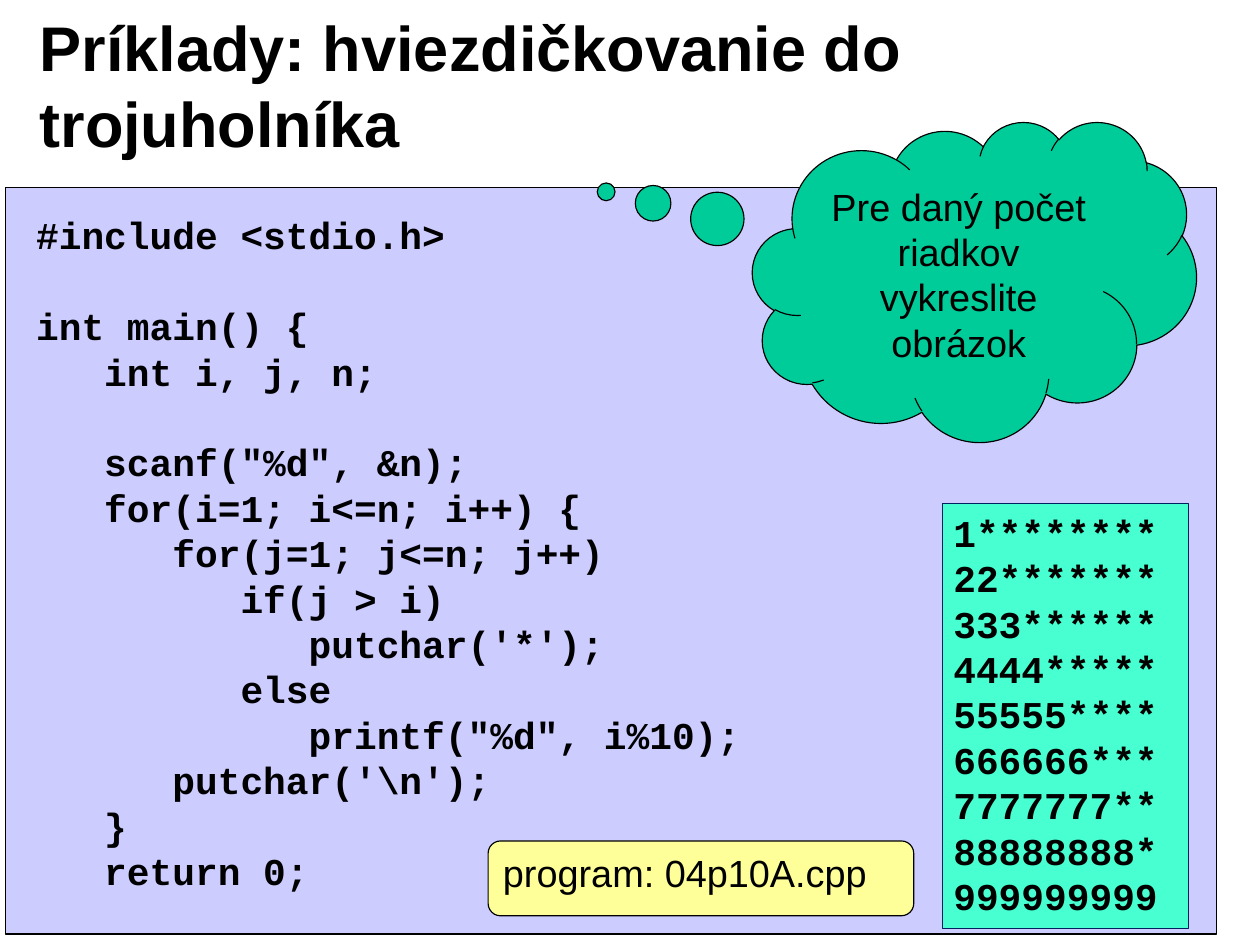
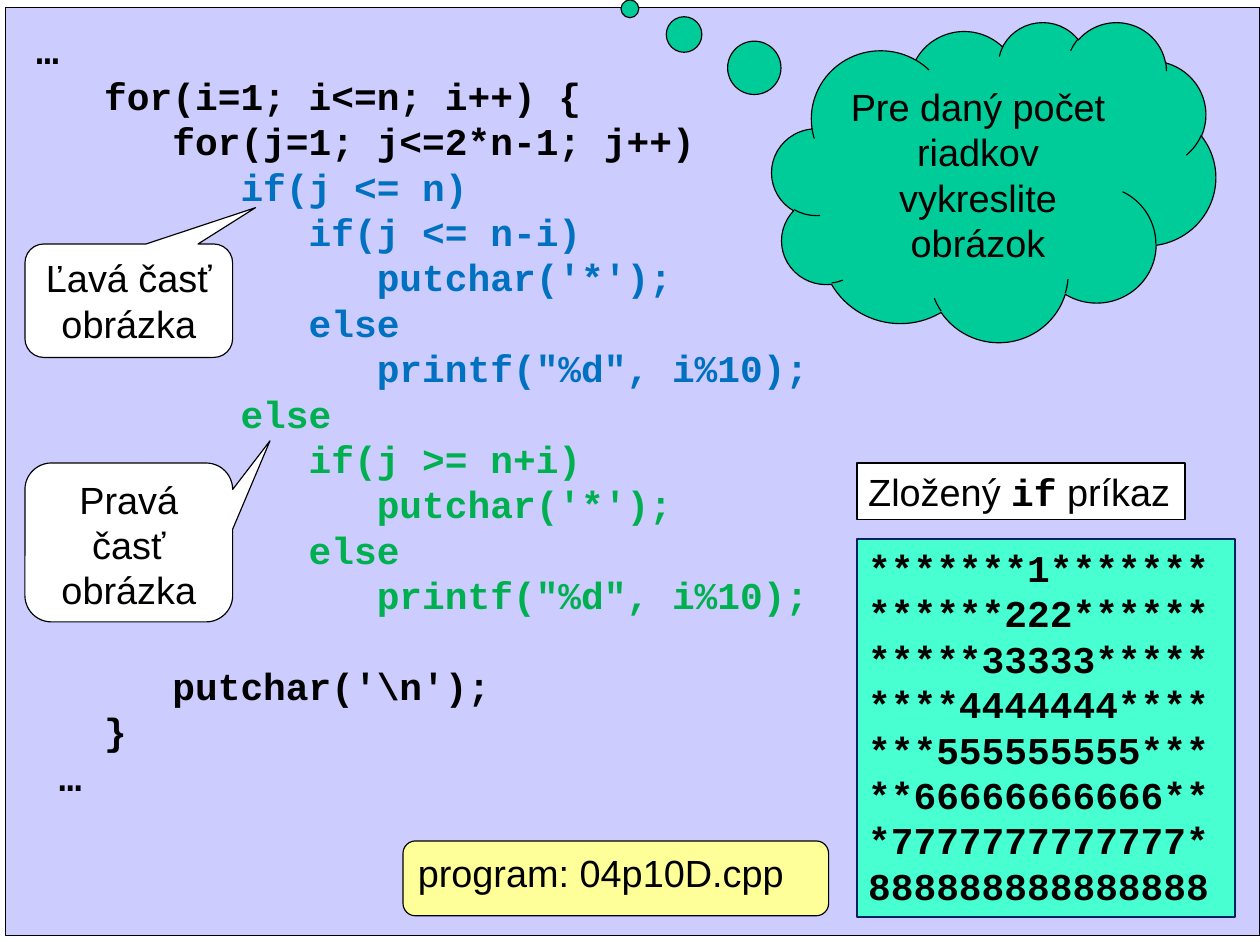
from pptx import Presentation
from pptx.dml.color import RGBColor
from pptx.enum.shapes import MSO_SHAPE
from pptx.enum.text import MSO_ANCHOR, PP_ALIGN
from pptx.util import Inches, Pt

COLOURS = {
    "ink": "000000",
    "panel": "CCCCFF",
    "output": "47FFD1",
    "output_line": "002060",
    "cloud": "00CC99",
    "program": "FFFF99",
    "note": "FFFFFF",
    "left_part": "0070C0",
    "right_part": "00B050",
}
SANS = {"name": "Arial", "size": Pt(24), "bold": False}
CODE = {"name": "Courier New", "size": Pt(24), "bold": True}
TITLE = {"name": "Arial", "size": Pt(40), "bold": True}
LINE_HEIGHT = 1.2
TASK = "Pre daný počet riadkov vykreslite obrázok"

TRIANGLE_CODE = [("ink", r"""#include <stdio.h>

int main() {
   int i, j, n;

   scanf("%d", &n);
   for(i=1; i<=n; i++) {
      for(j=1; j<=n; j++)
         if(j > i)
            putchar('*');
         else
            printf("%d", i%10);
      putchar('\n');
   }
   return 0;""")]

PYRAMID_CODE = [
    ("ink", r"""…
   for(i=1; i<=n; i++) {
      for(j=1; j<=2*n-1; j++)"""),
    ("left_part", r"""         if(j <= n)
            if(j <= n-i)
               putchar('*');
            else
               printf("%d", i%10);"""),
    ("right_part", r"""         else
            if(j >= n+i)
               putchar('*');
            else
               printf("%d", i%10);"""),
    ("ink", r"""
      putchar('\n');
   }
 …"""),
]


def colour(name):
    """Return the named palette colour."""
    return RGBColor.from_string(COLOURS[name])


def set_format(target, values):
    """Set each attribute of the target from a dict."""
    for name, value in values.items():
        setattr(target, name, value)


def add_run(paragraph, text, font, ink="ink"):
    """Append a formatted run to a paragraph."""
    run = paragraph.add_run()
    run.text = text
    set_format(run.font, font)
    run.font.color.rgb = colour(ink)


def fill_text(shape, lines, align=PP_ALIGN.LEFT, anchor=MSO_ANCHOR.TOP, wrap=True):
    """Write lines of (text, font, ink) runs; an empty line becomes a gap."""
    frame = shape.text_frame
    set_format(frame, {"word_wrap": wrap, "vertical_anchor": anchor})
    paragraph, gap = None, 0
    for runs in lines:
        text, font, _ = runs[0]
        pitch = Pt(font["size"].pt * LINE_HEIGHT)
        if not text:
            gap += pitch
            continue
        paragraph = frame.add_paragraph() if paragraph else frame.paragraphs[0]
        set_format(paragraph, {"alignment": align, "line_spacing": pitch,
                               "space_before": gap})
        gap = 0
        for run in runs:
            add_run(paragraph, *run)


def add_box(slide, kind, box, fill, line="ink", adjustments=()):
    """Add a filled and outlined preset shape."""
    shape = slide.shapes.add_shape(kind, *map(Inches, box))
    shape.shadow.inherit = False
    shape.fill.solid()
    shape.fill.fore_color.rgb = colour(fill)
    shape.line.color.rgb = colour(line)
    shape.line.width = Pt(0.75)
    for index, value in enumerate(adjustments):
        shape.adjustments[index] = value
    return shape


def add_title(slide, box, text):
    """Add the slide title."""
    title = slide.shapes.add_textbox(*map(Inches, box))
    fill_text(title, [[(text, TITLE, "ink")]], anchor=MSO_ANCHOR.MIDDLE)


def add_code_panel(slide, box, text_offset, sections):
    """Add the code panel with its coloured source text."""
    left, top, _, height = box
    add_box(slide, MSO_SHAPE.RECTANGLE, box, "panel")
    text_box = (left + 0.17, top + text_offset, 10.67, height - 2 * text_offset)
    code = slide.shapes.add_textbox(*map(Inches, text_box))
    fill_text(code, [[(line, CODE, ink)] for ink, block in sections
                     for line in block.split("\n")])


def add_output(slide, box, rows):
    """Add the box with the printed figure."""
    shape = add_box(slide, MSO_SHAPE.RECTANGLE, box, "output", "output_line")
    fill_text(shape, [[(row, CODE, "ink")] for row in rows])


def add_task_cloud(slide, left, top, tail):
    """Add the thought cloud that states the task."""
    shape = add_box(slide, MSO_SHAPE.CLOUD_CALLOUT, (left, top, 3.91, 2.82),
                    "cloud", adjustments=tail)
    fill_text(shape, [[(TASK, SANS, "ink")]], PP_ALIGN.CENTER, MSO_ANCHOR.MIDDLE)


def add_program_label(slide, left, file_name):
    """Add the label that names the program file."""
    shape = add_box(slide, MSO_SHAPE.ROUNDED_RECTANGLE, (left, 7.41, 3.75, 0.66),
                    "program")
    fill_text(shape, [[(f"program: {file_name}", SANS, "ink")]])


def add_part_callout(slide, top, height, tail, text):
    """Add a callout that explains one part of the figure."""
    shape = add_box(slide, MSO_SHAPE.ROUNDED_RECTANGULAR_CALLOUT,
                    (0.22, top, 1.83, height), "note", adjustments=tail)
    fill_text(shape, [[(text, SANS, "ink")]], PP_ALIGN.CENTER)


def add_statement_note(slide, box):
    """Add the note about the compound statement."""
    shape = add_box(slide, MSO_SHAPE.RECTANGLE, box, "note")
    fill_text(shape, [[("Zložený ", SANS, "ink"), ("if", CODE, "ink"),
                       (" príkaz", SANS, "ink")]], wrap=False)


def build_triangle_slide(slide):
    """Build the slide with the triangle program."""
    add_title(slide, (0.25, 0.23, 8.92, 1.02),
              "Príklady: hviezdičkovanie do trojuholníka")
    add_code_panel(slide, (0.05, 1.65, 10.67, 6.58), 0.17, TRIANGLE_CODE)
    add_output(slide, (8.3, 4.44, 2.17, 3.74),
               [f"{str(n) * n:*<9}" for n in range(1, 10)])
    add_task_cloud(slide, 6.63, 1.07, (-0.83, -0.28))
    add_program_label(slide, 4.3, "04p10A.cpp")


def build_pyramid_slide(slide):
    """Build the slide with the pyramid program."""
    add_code_panel(slide, (0.05, 0.07, 11.05, 8.17), 0.12, PYRAMID_CODE)
    add_output(slide, (7.55, 4.75, 3.33, 3.33),
               [f"{str(n) * (2 * n - 1):*^15}" for n in range(1, 9)])
    add_task_cloud(slide, 6.8, 0.19, (-0.82, -0.54))
    add_program_label(slide, 3.55, "04p10D.cpp")
    add_statement_note(slide, (7.55, 4.08, 2.89, 0.5))
    add_part_callout(slide, 2.15, 1, (0.61, -0.82), "Ľavá časť obrázka")
    add_part_callout(slide, 4.08, 1.4, (0.68, -0.64), "Pravá časť obrázka")


def main():
    """Build and save the presentation."""
    presentation = Presentation()
    set_format(presentation, {"slide_width": Inches(11.1),
                              "slide_height": Inches(8.3)})
    for build in (build_triangle_slide, build_pyramid_slide):
        build(presentation.slides.add_slide(presentation.slide_layouts[6]))
    presentation.save("out.pptx")


if __name__ == "__main__":
    main()
